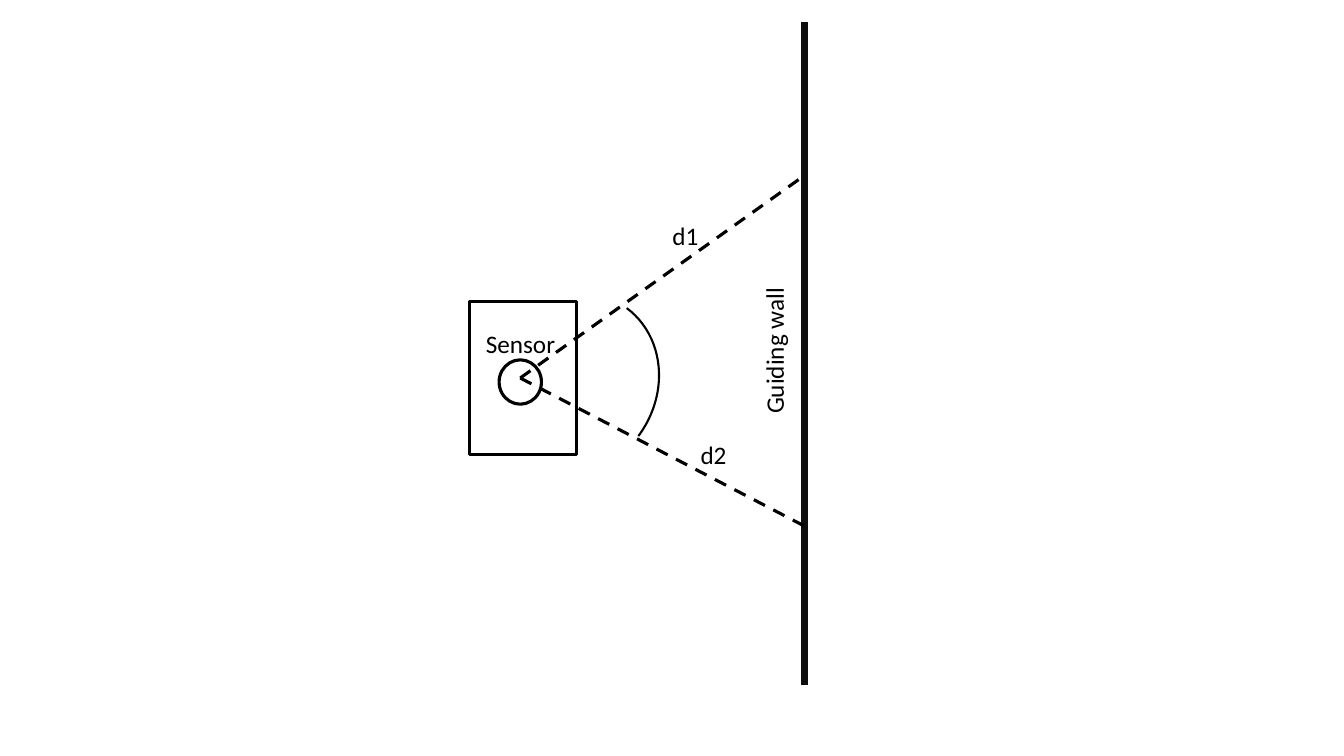
from pptx import Presentation
from pptx.dml.color import RGBColor
from pptx.enum.dml import MSO_LINE
from pptx.enum.shapes import MSO_CONNECTOR, MSO_SHAPE
from pptx.enum.text import MSO_AUTO_SIZE
from pptx.oxml.ns import qn
from pptx.util import Emu, Pt
from lxml import etree

PX = 9144  # 100 px to the inch
STRAIGHT = MSO_CONNECTOR.STRAIGHT
RECTANGLE, OVAL, ARC = MSO_SHAPE.RECTANGLE, MSO_SHAPE.OVAL, MSO_SHAPE.ARC
DASH = MSO_LINE.DASH
FIT_SHAPE = MSO_AUTO_SIZE.SHAPE_TO_FIT_TEXT
BLACK, WHITE, WALL = "000000", "FFFFFF", "0D0D0D"


def px(*lengths):
    return [Emu(length * PX) for length in lengths]


def color(value):
    return RGBColor.from_string(value)


def add_outline(slide, kind, box, fill=None, width=2.25, rotation=0):
    shape = slide.shapes.add_shape(kind, *px(*box))
    shape.shadow.inherit = False
    shape.rotation = rotation
    if fill:
        shape.fill.solid()
        shape.fill.fore_color.rgb = color(fill)
    else:
        shape.fill.background()
    shape.line.color.rgb = color(BLACK)
    shape.line.width = Pt(width)


def add_line(slide, start, end, line_color=BLACK, width=2.25, dash=None):
    connector = slide.shapes.add_connector(STRAIGHT, *px(*start, *end))
    etree.SubElement(connector._element.spPr, qn("a:effectLst"))
    connector.line.color.rgb = color(line_color)
    connector.line.width = Pt(width)
    if dash:
        connector.line.dash_style = dash


def add_text(slide, text, box, size=18, font="Calibri", text_color=BLACK, rotation=0):
    shape = slide.shapes.add_textbox(*px(*box))
    shape.rotation = rotation
    frame = shape.text_frame
    frame.word_wrap = True
    frame.auto_size = FIT_SHAPE
    paragraph = frame.paragraphs[0]
    paragraph.text = text
    paragraph.font.size = Pt(size)
    paragraph.font.name = font
    paragraph.font.color.rgb = color(text_color)


def add_sensor(slide, box):
    left, top, width, height = box
    add_outline(slide, RECTANGLE, box, WHITE)
    add_outline(slide, OVAL, (left + 29, top + 58, 42, 44), WHITE)
    add_text(slide, "Sensor", (left + 6, top + 22, 92, 40))


def add_wall(slide, box):
    left, top, width, height = box
    right = left + width
    add_line(slide, (right, top), (right, top + height), WALL, 4.5)
    add_text(slide, "Guiding wall", (left, top + 272, 213, 40), rotation=270)


def add_beams(slide, box):
    """Draw both measured distances and the angle between them."""
    left, top, width, height = box
    origin = (left, top + 201)
    for name, end_y, label_x, label_y, label_width in (
        ("d1", 0, 141, 40, 49),
        ("d2", height, 169, 257, 50),
    ):
        add_line(slide, origin, (left + width, top + end_y), dash=DASH)
        add_text(slide, name, (left + label_x, top + label_y, label_width, 40))
    add_outline(slide, ARC, (left - 36, top + 113, 170, 190), width=1.5, rotation=36.6)


def main():
    presentation = Presentation()
    presentation.slide_width, presentation.slide_height = px(1333, 750)
    slide = presentation.slides.add_slide(presentation.slide_layouts[6])
    add_sensor(slide, (466, 299, 106, 152))
    add_wall(slide, (661, 22, 137, 658))
    add_beams(slide, (516, 174, 282, 348))
    presentation.save("out.pptx")


if __name__ == "__main__":
    main()
